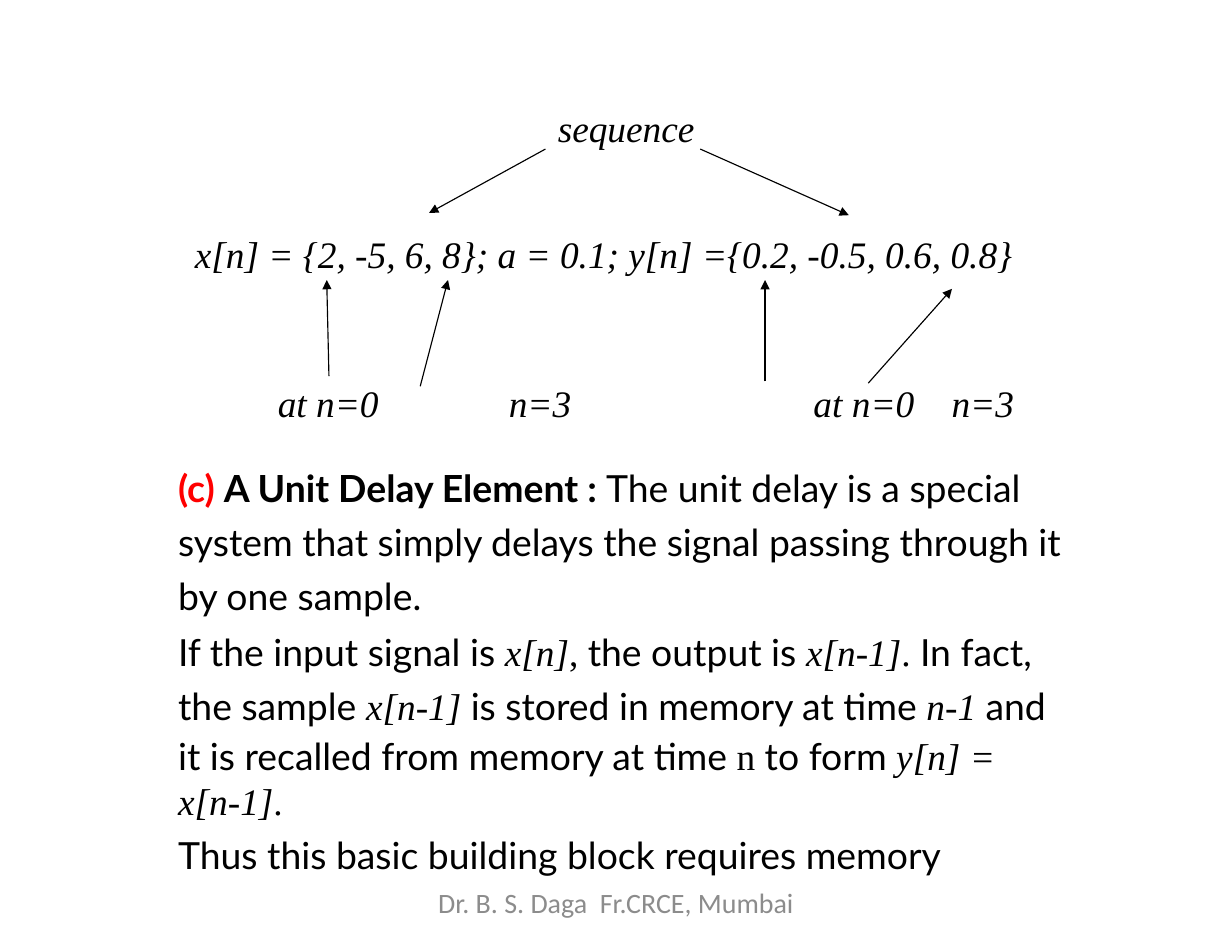
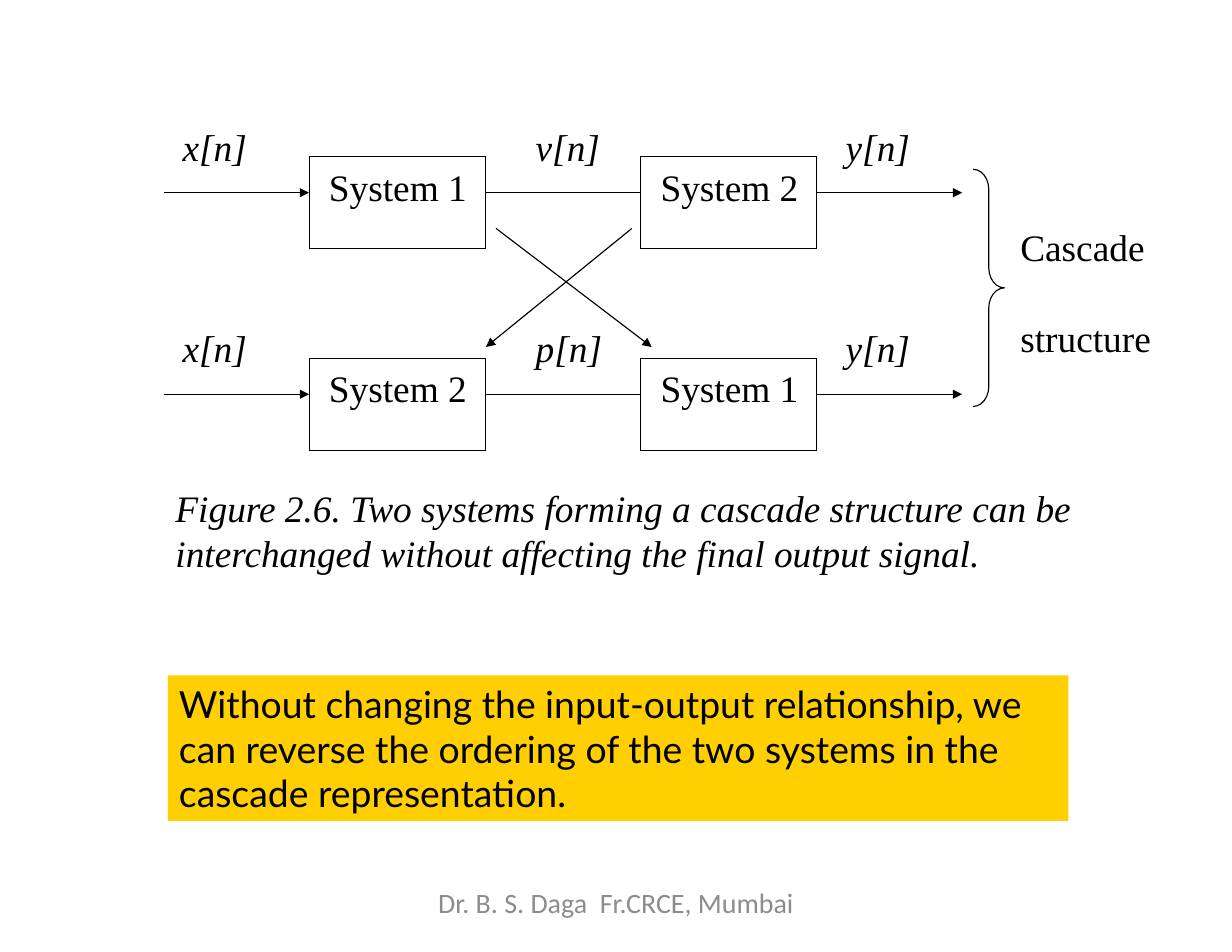
"""Build two slides on signals: a unit delay element and a cascade structure."""
from lxml.etree import SubElement
from pptx import Presentation
from pptx.dml.color import RGBColor
from pptx.enum.shapes import MSO_CONNECTOR, MSO_SHAPE
from pptx.enum.text import PP_ALIGN
from pptx.oxml.ns import qn
from pptx.util import Cm, Pt

BLACK = RGBColor(0, 0, 0)
RED = RGBColor(255, 0, 0)
GREY = RGBColor(0x8C, 0x8C, 0x8C)
GOLD = RGBColor(0xFF, 0xCF, 0x01)
SERIF, SANS = "Times New Roman", "Lato"

PLAIN = dict(font=SANS)
BOLD = dict(font=SANS, bold=True)
MARK = dict(font=SANS, bold=True, color=RED)
MATH = dict(font=SERIF, italic=True)
ROMAN = dict(font=SERIF)

FOOT = "Dr. B. S. Daga  Fr.CRCE, Mumbai"
FOOT_AT = (9.5, 20.05, 8.94, 1.07)

TITLE_AT = (12.65, 2.36, 3.25, 1.09)
BODY_AT = (4.04, 5.21, 21.54, 13.61)
BODY = [
    ([("x[n] = {2, -5, 6, 8}; a = 0.1; y[n] ={0.2, -0.5, 0.6, 0.8}", MATH)],
     dict(left=0.38, before=1)),
    ([("(c) ", MARK), ("A Unit Delay Element : ", BOLD),
      ("The unit delay is a special system that simply delays the signal "
       "passing through it by one sample.", PLAIN)],
     dict(right=1.27, before=116, lines=1.2)),
    ([("If the input signal is ", PLAIN), ("x[n]", MATH), (", ", ROMAN),
      ("the output is ", PLAIN), ("x[n-1]", MATH), (". ", ROMAN),
      ("In fact, the sample ", PLAIN), ("x[n-1] ", MATH),
      ("is stored in memory at time ", PLAIN), ("n-1 ", MATH), ("and", PLAIN)],
     dict(right=1.27, before=2, lines=Pt(34.5))),
    ([("it is recalled from memory at time ", PLAIN), ("n ", ROMAN),
      ("to form ", PLAIN), ("y[n] = x[n-1]", MATH), (".", ROMAN)],
     dict(right=1.27, before=3.5)),
    ([("Thus this basic building block requires memory", PLAIN)],
     dict(right=1.27, before=5.8)),
]
TIMES_Y = 8.59
TIMES = [(6.3, "at n=0"), (11.54, "n=3"), (18.45, "at n=0"), (21.58, "n=3")]
POINTERS = [
    (12.37, 3.38, 9.73, 4.83), (15.88, 3.38, 19.25, 4.88),
    (7.46, 8.53, 7.41, 6.35), (9.53, 8.76, 10.16, 6.35),
    (17.35, 8.65, 17.35, 6.35), (19.69, 8.69, 21.59, 6.55),
]

CHAINS = [
    (3.56, ("System 1", "System 2"), ("x[n]", "v[n]", "y[n]")),
    (8.13, ("System 2", "System 1"), ("x[n]", "p[n]", "y[n]")),
]
COLS, ROWS = (3.99, 3.53, 3.99), (0.81, 1.23)
GRID_X, REACH = 7.01, 3.3
NAMES_X = (4.14, 12.15, 19.18)
SWAPS = [(11.25, 5.18, 14.78, 7.87), (14.33, 5.18, 11.02, 7.87)]
BRACE_AT = (22.07, 3.84, 0.71, 5.38)
SIDE_AT = (23.14, 5.05, 3.1, 3.6)
SIDE = [("Cascade", 1), ("structure", 30)]
FIG_AT = (3.98, 10.97, 20.6, 2.11)
FIG = ("Figure 2.6. Two systems forming a cascade structure can be "
       "interchanged without affecting the final output signal.")
NOTE_AT = (3.81, 15.32, 20.42, 3.3)
NOTE = ("Without changing the input-output relationship, we can reverse the "
        "ordering of the two systems in the cascade representation.")


def place(at):
    return [Cm(v) for v in at]


def put(para, text, font=SERIF, size=24, color=BLACK, bold=False, italic=False):
    run = para.add_run()
    run.text = text
    face = run.font
    face.name, face.size, face.bold, face.italic = font, Pt(size), bold, italic
    face.color.rgb = color


def shape_para(para, left=0, right=0, before=0, lines=None):
    props = para._p.get_or_add_pPr()
    props.set("marL", str(Cm(left)))
    props.set("marR", str(Cm(right)))
    props.set("indent", "0")
    para.space_before = Pt(before)
    if lines:
        para.line_spacing = lines


def clear(frame, top=0.03):
    frame.word_wrap = True
    frame.margin_left = frame.margin_right = frame.margin_bottom = 0
    frame.margin_top = Cm(top)


def fill_box(frame, paras):
    for k, (runs, form) in enumerate(paras):
        para = frame.add_paragraph() if k else frame.paragraphs[0]
        shape_para(para, **form)
        for text, style in runs:
            put(para, text, **style)


def box(slide, at, paras):
    frame = slide.shapes.add_textbox(*place(at)).text_frame
    clear(frame)
    fill_box(frame, paras)
    return frame


def label(slide, at, text):
    box(slide, at, [([(text, MATH)], dict(before=1))])


def arrow(slide, ends):
    line = slide.shapes.add_connector(MSO_CONNECTOR.STRAIGHT, *place(ends))
    line.line.color.rgb = BLACK
    line.line.width = Pt(0.75)
    SubElement(line.line._get_or_add_ln(), qn("a:tailEnd"), type="triangle")
    SubElement(line._element.spPr, qn("a:effectLst"))


def edge(cell, sides):
    props = cell._tc.get_or_add_tcPr()
    for side in "LRTB":
        if side in sides:
            line = SubElement(props, qn("a:ln" + side), w=str(Pt(0.75)))
            paint = SubElement(line, qn("a:solidFill"))
            SubElement(paint, qn("a:srgbClr"), val=str(BLACK))
        else:
            line = SubElement(props, qn("a:ln" + side), w="0")
            SubElement(line, qn("a:noFill"))
    cell.fill.background()


def chain(slide, top, systems, names):
    at = (GRID_X, top, sum(COLS), sum(ROWS))
    grid = slide.shapes.add_table(2, 3, *place(at)).table
    grid.first_row = grid.horz_banding = False
    for col, width in zip(grid.columns, COLS):
        col.width = Cm(width)
    for row, height in zip(grid.rows, ROWS):
        row.height = Cm(height)
    for r, sides in enumerate(("LRTB LRB LRTB", "LRB LRT LRB")):
        for c, mark in enumerate(sides.split()):
            cell = grid.cell(r, c)
            cell.margin_left = cell.margin_right = 0
            cell.margin_top = cell.margin_bottom = 0
            edge(cell, mark)
    for c, text in zip((0, 2), systems):
        cell = grid.cell(0, c)
        cell.merge(grid.cell(1, c))
        cell.margin_top = Cm(0.25)
        fill_box(cell.text_frame, [([(text, ROMAN)], dict(left=0.45))])
    mid, end = top + ROWS[0], GRID_X + sum(COLS)
    arrow(slide, (GRID_X - REACH, mid, GRID_X, mid))
    arrow(slide, (end, mid, end + REACH, mid))
    for x, name in zip(NAMES_X, names):
        label(slide, (x, top - 0.78, 1.65, 1.09), name)


def start(deck):
    slide = deck.slides.add_slide(deck.slide_layouts[6])
    style = dict(font="Calibri", size=18, color=GREY)
    frame = box(slide, FOOT_AT, [([(FOOT, style)], {})])
    frame.paragraphs[0].alignment = PP_ALIGN.CENTER
    return slide


def delay(deck):
    slide = start(deck)
    label(slide, TITLE_AT, "sequence")
    box(slide, BODY_AT, BODY)
    for x, text in TIMES:
        label(slide, (x, TIMES_Y, 2.6, 1.09), text)
    for ends in POINTERS:
        arrow(slide, ends)


def cascade(deck):
    slide = start(deck)
    for row in CHAINS:
        chain(slide, *row)
    for ends in SWAPS:
        arrow(slide, ends)
    brace = slide.shapes.add_shape(MSO_SHAPE.RIGHT_BRACE, *place(BRACE_AT))
    brace.shadow.inherit = False
    brace.fill.background()
    brace.line.color.rgb = BLACK
    brace.line.width = Pt(0.75)
    brace.adjustments[0] = 0.64
    box(slide, SIDE_AT, [([(t, ROMAN)], dict(before=gap)) for t, gap in SIDE])
    label(slide, FIG_AT, FIG)
    note = slide.shapes.add_shape(MSO_SHAPE.RECTANGLE, *place(NOTE_AT))
    note.shadow.inherit = False
    note.fill.solid()
    note.fill.fore_color.rgb = GOLD
    note.line.fill.background()
    clear(note.text_frame, 0)
    fill_box(note.text_frame, [([(NOTE, PLAIN)], dict(left=0.25, right=0.5))])
    note.text_frame.paragraphs[0].alignment = PP_ALIGN.LEFT


deck = Presentation()
deck.slide_width, deck.slide_height = Cm(27.94), Cm(21.59)
delay(deck)
cascade(deck)
deck.save("out.pptx")
